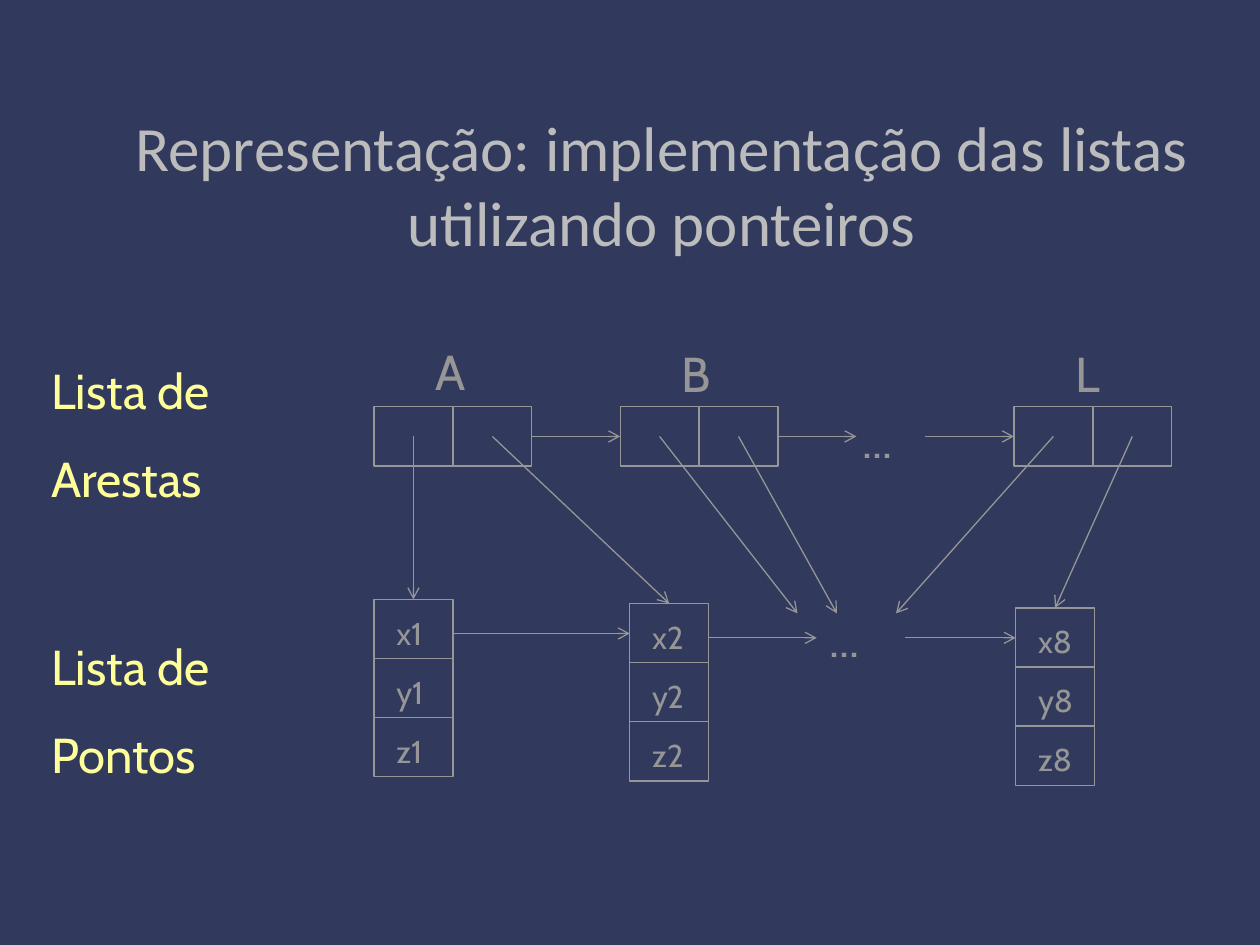
from lxml.etree import SubElement
from pptx import Presentation
from pptx.dml.color import RGBColor
from pptx.enum.shapes import MSO_CONNECTOR as CONNECTOR, MSO_SHAPE as SHAPE
from pptx.enum.text import MSO_ANCHOR as ANCHOR, PP_ALIGN as ALIGN
from pptx.oxml.ns import qn
from pptx.util import Pt

NAVY = RGBColor(0x31, 0x39, 0x5D)
SILVER = RGBColor(0xBC, 0xBC, 0xBC)
GRAY = RGBColor(0x96, 0x96, 0x96)
YELLOW = RGBColor(0xFF, 0xFF, 0x99)
CELL_W, CELL_H = 45.1, 33.8
LINE_W = 0.75


def add_run(paragraph, text, size, color, font="Cabin"):
    run = paragraph.add_run()
    run.text = text
    run.font.name, run.font.size = font, Pt(size)
    run.font.color.rgb = color


def add_text(slide, box, lines, size, color=GRAY, wrap=True):
    frame = slide.shapes.add_textbox(*map(Pt, box)).text_frame
    frame.word_wrap = wrap
    for i, line in enumerate(lines):
        paragraph = frame.add_paragraph() if i else frame.paragraphs[0]
        if i:
            paragraph.space_before = Pt(0.6 * size)
        add_run(paragraph, line, size, color)


def add_cell(slide, left, top):
    cell = slide.shapes.add_shape(
        SHAPE.RECTANGLE, Pt(left), Pt(top), Pt(CELL_W), Pt(CELL_H))
    cell.shadow.inherit = False
    cell.fill.background()
    cell.line.color.rgb, cell.line.width = GRAY, Pt(LINE_W)


def add_arrow(slide, start, end):
    arrow = slide.shapes.add_connector(
        CONNECTOR.STRAIGHT, *map(Pt, (*start, *end)))
    arrow.line.color.rgb, arrow.line.width = GRAY, Pt(LINE_W)
    SubElement(arrow.line._get_or_add_ln(), qn("a:tailEnd"), type="arrow")
    SubElement(arrow._element.spPr, qn("a:effectLst"))


def add_title(slide, box, text):
    title = slide.shapes.title
    title.left, title.top, title.width, title.height = map(Pt, box)
    frame = title.text_frame
    frame.word_wrap = True
    frame.vertical_anchor = ANCHOR.MIDDLE
    paragraph = frame.paragraphs[0]
    paragraph.alignment = ALIGN.CENTER
    add_run(paragraph, text, 36, SILVER, "Calibri")


def add_edge(slide, left, top, label, label_rise):
    """Draw a two-cell edge record; return the centres of its cells."""
    for i in range(2):
        add_cell(slide, left + i * CELL_W, top)
    add_text(slide, (left + 28.2, top - label_rise, 39.6, 41), [label], 28)
    return [(left + (i + 0.5) * CELL_W, top + CELL_H / 2) for i in range(2)]


def add_point(slide, left, top, number):
    """Draw a three-cell point record; return the middle of its top side."""
    for i, axis in enumerate("xyz"):
        cell_top = top + i * CELL_H
        add_cell(slide, left, cell_top)
        add_text(slide, (left + 5.7, cell_top + 4.6, 39.6, 28.8),
                 [f"{axis}{number}"], 18)
    return left + CELL_W / 2, top


def add_diagram(slide, left, top):
    def at(x, y):
        return left + x, top + y

    # Edge and point records
    a1, a2 = add_edge(slide, *at(0, 0), "A", 41)
    b1, b2 = add_edge(slide, *at(140.7, 0), "B", 39.5)
    l1, l2 = add_edge(slide, *at(365.7, 0), "L", 39.5)
    p1 = add_point(slide, *at(0, 110), 1)
    p2 = add_point(slide, *at(146.2, 112.4), 2)
    p8 = add_point(slide, *at(366.7, 114.9), 8)

    # Pointers from edges to points
    for start, end in ((a1, p1), (a2, p2), (b1, at(242, 118)),
                       (b2, at(264.5, 118)), (l1, at(298.3, 118)), (l2, p8)):
        add_arrow(slide, start, end)

    # Links along each list: start, end, height
    links = ((90.2, 140.7, 16.9), (230.9, 275.7, 16.9), (315, 365.7, 16.9),
             (45.1, 146.2, 129.5), (191.3, 253, 132), (303.2, 366.7, 132))
    for start, end, y in links:
        add_arrow(slide, at(start, y), at(end, y))

    # Omitted records
    for x, y in ((272.2, -2), (253, 111.8)):
        add_text(slide, (*at(x, y), 49.7, 41), ["..."], 28)


def add_list_names(slide, left, top):
    for i, name in enumerate(("Arestas", "Pontos")):
        add_text(slide, (left, top + i * 157.7, 120, 96),
                 ["Lista de", name], 28, YELLOW, wrap=False)


def main():
    prs = Presentation()
    prs.slide_width, prs.slide_height = Pt(720), Pt(540)
    slide = prs.slides.add_slide(prs.slide_layouts[5])
    slide.background.fill.solid()
    slide.background.fill.fore_color.rgb = NAVY
    add_title(slide, (36, 66, 684, 78),
              "Representação: implementação das listas utilizando ponteiros")
    add_diagram(slide, 213.7, 232.5)
    add_list_names(slide, 22.3, 202.3)
    prs.save("out.pptx")


if __name__ == "__main__":
    main()
